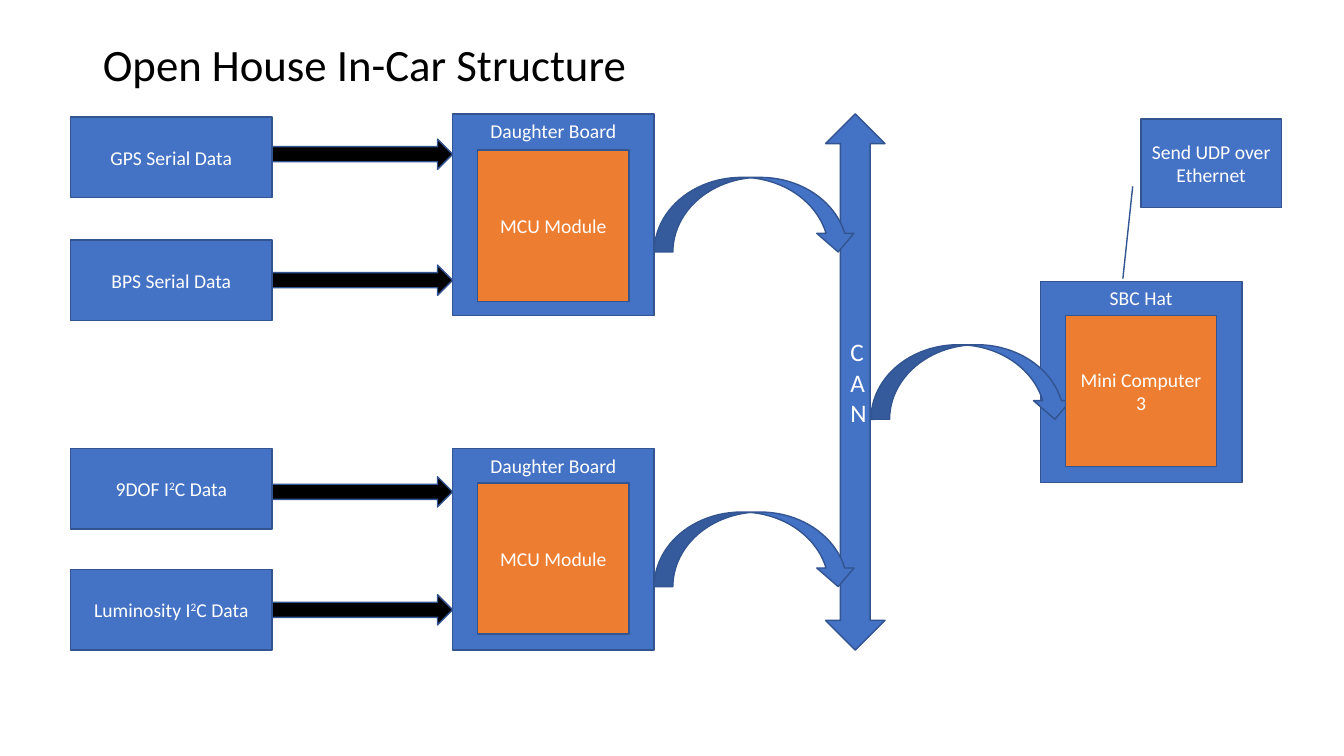
from dataclasses import dataclass

from pptx import Presentation
from pptx.dml.color import RGBColor
from pptx.enum.shapes import MSO_SHAPE
from pptx.enum.text import MSO_ANCHOR, PP_ALIGN
from pptx.util import Inches, Pt

RECTANGLE = MSO_SHAPE.RECTANGLE
RIGHT_ARROW = MSO_SHAPE.RIGHT_ARROW
BUS_ARROW = MSO_SHAPE.UP_DOWN_ARROW
CURVED_ARROW = MSO_SHAPE.CURVED_DOWN_ARROW
CALLOUT = MSO_SHAPE.LINE_CALLOUT_1
TOP, MIDDLE = MSO_ANCHOR.TOP, MSO_ANCHOR.MIDDLE
LEFT, CENTER = PP_ALIGN.LEFT, PP_ALIGN.CENTER

TITLE_ONLY = 5
CELL = Inches(0.1)  # the slide is a grid of square cells
COLUMNS, ROWS = 133.33, 75


@dataclass(frozen=True)
class Theme:
    """Colours, font and type sizes of the deck."""
    blue: str = "4472C4"
    orange: str = "ED7D31"
    black: str = "000000"
    white: str = "FFFFFF"
    outline: str = "325491"
    font: str = "Calibri"
    title: int = 32
    bus: int = 18
    label: int = 14


@dataclass(frozen=True)
class Box:
    """A rectangle measured in grid columns and rows."""
    left: float
    top: float
    width: float
    height: float

    def within(self, left, top, width, height):
        """Return a box placed relative to this one's top left corner."""
        return Box(self.left + left, self.top + top, width, height)

    def emu(self):
        """Return left, top, width and height as slide lengths."""
        return [round(side * CELL)
                for side in (self.left, self.top, self.width, self.height)]


THEME = Theme()


def style_span(span, size, colour):
    """Give one run the theme font, a size and a colour."""
    span.font.name = THEME.font
    span.font.size = Pt(size)
    span.font.color.rgb = RGBColor.from_string(colour)


def write_label(shape, label, size, anchor):
    """Write centred white text, raising every squared sign."""
    frame = shape.text_frame
    frame.word_wrap = True
    frame.vertical_anchor = anchor
    para = frame.paragraphs[0]
    para.alignment = CENTER
    for piece in filter(None, label.partition("²")):
        span = para.add_run()
        span.text = "2" if piece == "²" else piece
        style_span(span, size, THEME.white)
        if piece == "²":
            span._r.get_or_add_rPr().set("baseline", "30000")


def draw_shape(page, kind, box, fill, label="", size=THEME.label, anchor=MIDDLE):
    """Draw one outlined preset shape, with a label if it has one."""
    shape = page.shapes.add_shape(kind, *box.emu())
    shape.shadow.inherit = False
    shape.fill.solid()
    shape.fill.fore_color.rgb = RGBColor.from_string(fill)
    shape.line.color.rgb = RGBColor.from_string(THEME.outline)
    shape.line.width = Pt(1)
    if label:
        write_label(shape, label, size, anchor)
    return shape


def draw_title(page, box, text):
    """Place the title placeholder in its box."""
    title = page.shapes.title
    title.left, title.top, title.width, title.height = box.emu()
    frame = title.text_frame
    frame.text = text
    frame.vertical_anchor = MIDDLE
    para = frame.paragraphs[0]
    para.alignment = LEFT
    para.line_spacing = 0.9
    style_span(para.runs[0], THEME.title, THEME.black)


def draw_sources(page, box, sources):
    """Draw data sources, each with an arrow to the box's right edge."""
    width, height, arrow_height = 20, 8, 3
    for label, row, arrow_drop in sources:
        draw_shape(page, RECTANGLE, box.within(0, row, width, height),
                   THEME.blue, label)
        arrow = box.within(width, row + arrow_drop, box.width - width, arrow_height)
        draw_shape(page, RIGHT_ARROW, arrow, THEME.black)


def draw_hop(page, board, column):
    """Draw the curved arrow of a board, starting at a column relative to it."""
    draw_shape(page, CURVED_ARROW, board.within(column, 6.3, 20.1, 7.4), THEME.blue)


def draw_board(page, box, label, core, core_row, inlet=None):
    """Draw a board, an optional curved arrow into it, and its core."""
    draw_shape(page, RECTANGLE, box, THEME.blue, label, anchor=TOP)
    if inlet is not None:
        draw_hop(page, box, inlet)
    side = box.width * 0.75
    core_box = box.within((box.width - side) / 2, core_row, side, side)
    draw_shape(page, RECTANGLE, core_box, THEME.orange, core)


def draw_callout(page, box, label):
    """Draw the output note with its leader line to the receiving board."""
    callout = draw_shape(page, CALLOUT, box, THEME.blue, label)
    for index, share in enumerate((0.76, -0.06, 1.8, -0.13)):
        callout.adjustments[index] = share


def build_structure(page):
    """Lay out the car's data flow from the sources to the network."""
    draw_title(page, Box(9.2, 4, 115, 5.2), "Open House In-Car Structure")
    draw_shape(page, BUS_ARROW, Box(81.9, 11.3, 5.9, 53.2), THEME.blue,
               "CAN", THEME.bus)
    groups = (
        (11.3, 3.6, (("GPS Serial Data", 0.3, 2.2), ("BPS Serial Data", 12.5, 2.5))),
        (44.5, 3.4, (("9DOF I²C Data", 0, 2.8), ("Luminosity I²C Data", 12, 2.5))),
    )
    for row, core_row, sources in groups:
        board = Box(44.9, row, 20, 20)
        draw_sources(page, Box(7, row, 37.9, 20), sources)
        draw_board(page, board, "Daughter Board", "MCU Module", core_row)
        draw_hop(page, board, board.width)
    draw_board(page, Box(103.2, 27.9, 20, 20), "SBC Hat", "Mini Computer 3",
               3.4, inlet=-16.8)
    draw_callout(page, Box(113.2, 11.8, 13.9, 8.8), "Send UDP over Ethernet")


deck = Presentation()
deck.slide_width = round(COLUMNS * CELL)
deck.slide_height = ROWS * CELL
build_structure(deck.slides.add_slide(deck.slide_layouts[TITLE_ONLY]))
deck.save("out.pptx")
